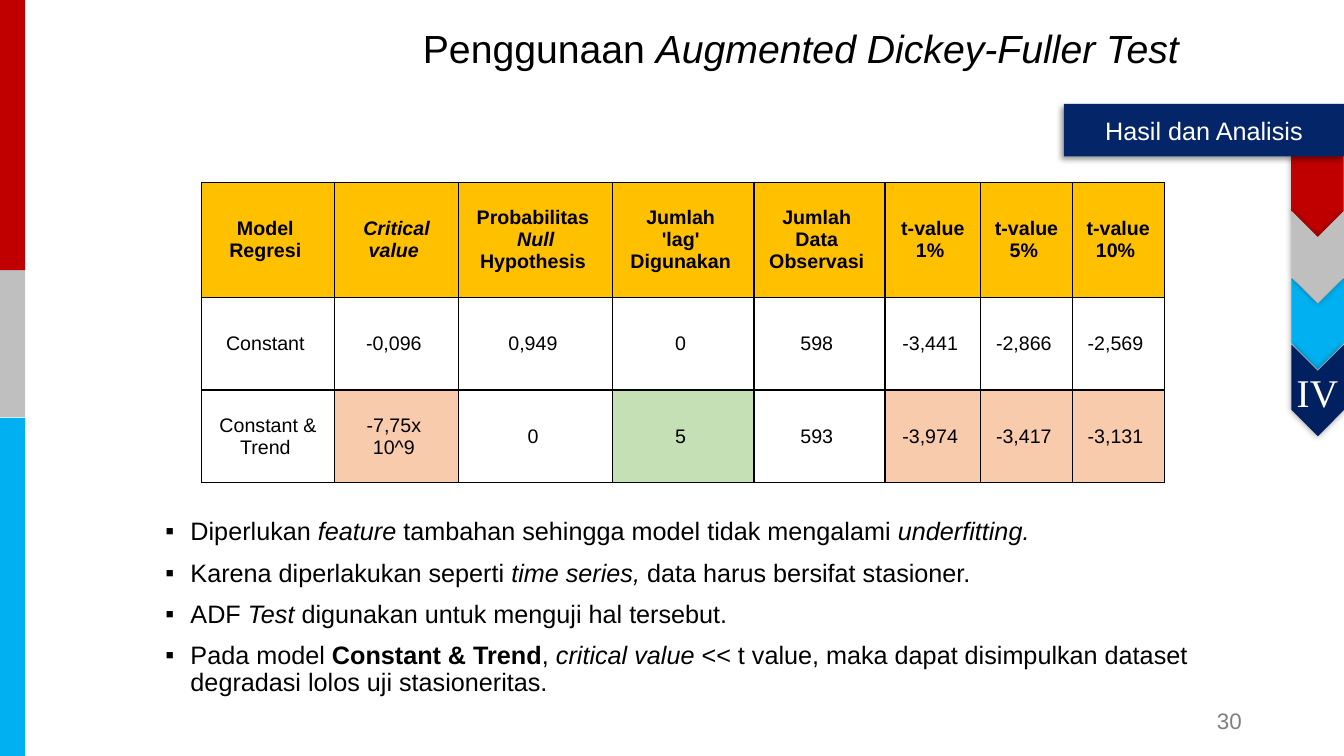
from lxml import etree
from pptx import Presentation
from pptx.dml.color import RGBColor
from pptx.enum.shapes import MSO_SHAPE
from pptx.enum.text import MSO_ANCHOR, PP_ALIGN
from pptx.oxml.ns import qn
from pptx.util import Pt

RECT, PLATE, CHEVRON = MSO_SHAPE.RECTANGLE, MSO_SHAPE.PENTAGON, MSO_SHAPE.CHEVRON
LEFT, CENTER, RIGHT = PP_ALIGN.LEFT, PP_ALIGN.CENTER, PP_ALIGN.RIGHT
TOP, MIDDLE = MSO_ANCHOR.TOP, MSO_ANCHOR.MIDDLE

BLACK = RGBColor(0x00, 0x00, 0x00)
WHITE = RGBColor(0xFF, 0xFF, 0xFF)
RED = RGBColor(0xC0, 0x00, 0x00)
SILVER = RGBColor(0xBF, 0xBF, 0xBF)
SKY = RGBColor(0x00, 0xB0, 0xF0)
NAVY = RGBColor(0x00, 0x20, 0x60)
BANNER = RGBColor(0x05, 0x25, 0x69)
GOLD = RGBColor(0xFF, 0xC0, 0x00)
PEACH = RGBColor(0xF8, 0xCB, 0xAD)
GREEN = RGBColor(0xC5, 0xE0, 0xB4)
GRAY = RGBColor(0x80, 0x80, 0x80)

NBSP = " "  # a no-break space closes most table lines
GLOW = (5, 0, 0)  # shadow blur, distance, angle
DROP = (4, 3, 135)


def apply(target, values):
    for name, value in values.items():
        setattr(target, name, value)


def add(parent, tag, **attrs):
    node = etree.SubElement(parent, qn(tag))
    for name, value in attrs.items():
        node.set(name, str(value))
    return node


class Deck:
    def __init__(self, width, height):
        self.file = Presentation()
        apply(self.file, {"slide_width": Pt(width), "slide_height": Pt(height)})
        self.slide = self.file.slides.add_slide(self.file.slide_layouts[6])
        self.style = {"name": "Arial", "size": 18, "color": BLACK, "bold": False}

    def runs(self, para, text, **style):
        """Add runs: _italic_ and *bold* marks toggle the style."""
        look = {**self.style, **style}
        for slant, chunk in enumerate(text.split("_")):
            for heavy, bit in enumerate(chunk.split("*")):
                if not bit:
                    continue
                run = para.add_run()
                run.text = bit
                apply(run.font, {
                    "name": look["name"],
                    "size": Pt(look["size"]),
                    "bold": look["bold"] or heavy % 2 == 1,
                    "italic": slant % 2 == 1,
                })
                run.font.color.rgb = look["color"]

    def lines(self, frame, texts, align=LEFT, space=None, gap=0, bullet=None, **style):
        for i, text in enumerate(texts):
            para = frame.add_paragraph() if i else frame.paragraphs[0]
            if bullet:
                props = para._p.get_or_add_pPr()
                props.set("marL", str(Pt(18)))
                props.set("indent", str(-Pt(18)))
                add(props, "a:buFont", typeface="Arial")
                add(props, "a:buChar", char=bullet)
            apply(para, {"alignment": align, "line_spacing": space,
                         "space_before": Pt(gap if i else 0)})
            self.runs(para, text, **style)

    def text(self, box, texts, anchor=TOP, **style):
        frame = self.slide.shapes.add_textbox(*map(Pt, box)).text_frame
        apply(frame, {"word_wrap": True, "vertical_anchor": anchor})
        self.lines(frame, texts, **style)

    def shape(self, kind, box, fill, turn=0, shade=None):
        item = self.slide.shapes.add_shape(kind, *map(Pt, box))
        item.rotation = turn
        item.fill.solid()
        item.fill.fore_color.rgb = fill
        item.line.fill.background()
        item.shadow.inherit = False
        if shade:
            blur, dist, angle = shade
            effects = item._element.spPr.find(qn("a:effectLst"))
            outer = add(effects, "a:outerShdw", blurRad=Pt(blur), dist=Pt(dist),
                        dir=angle * 60000, algn="ctr", rotWithShape=0)
            add(add(outer, "a:srgbClr", val=BLACK), "a:alpha", val=40000)
        return item

    def border(self, cell):
        props = cell._tc.get_or_add_tcPr()
        for side in "LRTB":
            edge = add(props, "a:ln" + side, w=Pt(1))
            add(add(edge, "a:solidFill"), "a:srgbClr", val=BLACK)

    def table(self, left, top, widths, heights, rows, fills):
        box = (left, top, sum(widths), sum(heights))
        grid = self.slide.shapes.add_table(
            len(rows), len(widths), *map(Pt, box)).table
        apply(grid, {"first_row": False, "horz_banding": False})
        for col, width in zip(grid.columns, widths):
            col.width = Pt(width)
        for r, (row, height) in enumerate(zip(rows, heights)):
            grid.rows[r].height = Pt(height)
            for c, text in enumerate(row):
                cell = grid.cell(r, c)
                self.border(cell)
                cell.fill.solid()
                cell.fill.fore_color.rgb = fills[r][c]
                cell.vertical_anchor = MIDDLE
                texts = [part + NBSP for part in text.split("|")]
                self.lines(cell.text_frame, texts, align=CENTER,
                           size=14, bold=r == 0)


deck = Deck(960, 540)

# Left colour strip
for y, height, fill in ((192, 106, SILVER), (298.5, 241.5, SKY), (0, 193, RED)):
    deck.shape(RECT, (0, y, 18, height), fill)

# Title
deck.text((295, 0, 665, 72.5), ["Penggunaan _Augmented Dickey-Fuller Test_"],
          anchor=MIDDLE, space=0.9, size=28)

# Findings
deck.text((111, 367.2, 775.5, 157), [
    "Diperlukan _feature_ tambahan sehingga model tidak mengalami _underfitting._",
    "Karena diperlakukan seperti _time series,_ data harus bersifat stasioner.",
    "ADF _Test_ digunakan untuk menguji hal tersebut.",
    "Pada model *Constant & Trend*, _critical value_ << t value, maka dapat "
    "disimpulkan dataset degradasi lolos uji stasioneritas.",
], space=0.9, gap=10, bullet="▪")

# Test results
deck.table(
    144, 130.3,
    [95, 88.6, 110.2, 100.8, 93.6, 68.4, 65.5, 65.5],
    [82, 66.3, 66.3],
    [
        ["Model|Regresi", "_Critical value_", "Probabilitas|_Null_ Hypothesis",
         "Jumlah|'lag'|Digunakan", "Jumlah|Data|Observasi",
         "t-value 1%", "t-value 5%", "t-value 10%"],
        ["Constant", "-0,096", "0,949", "0", "598", "-3,441", "-2,866", "-2,569"],
        ["Constant & Trend", "-7,75x|10^9", "0", "5", "593",
         "-3,974", "-3,417", "-3,131"],
    ],
    [[GOLD] * 8, [WHITE] * 8,
     [WHITE, PEACH, WHITE, GREEN, WHITE, PEACH, PEACH, PEACH]])

# Chapter ribbon
STEP = 47.7


def ribbon(index, fill):
    deck.shape(CHEVRON, (908.5, 164.7 + index * STEP, 65.5, 37.5), fill, 90, GLOW)


deck.shape(PLATE, (911.5, 121.5, 59, 37.5), RED, 90, GLOW)
ribbon(1, SKY)
ribbon(0, SILVER)
label = deck.shape(RECT, (760, 74.2, 200, 37.5), BANNER, shade=DROP)
label.text_frame.vertical_anchor = MIDDLE
deck.lines(label.text_frame, ["Hasil dan Analisis"], align=CENTER, color=WHITE)
ribbon(2, NAVY)
deck.text((917, 259.2, 48, 41), ["IV"], align=CENTER,
          name="Times New Roman", size=28, color=WHITE)

# Slide number
deck.text((840, 500.5, 54, 29), ["30"], anchor=MIDDLE, align=RIGHT,
          size=16, color=GRAY)

deck.file.save("out.pptx")
